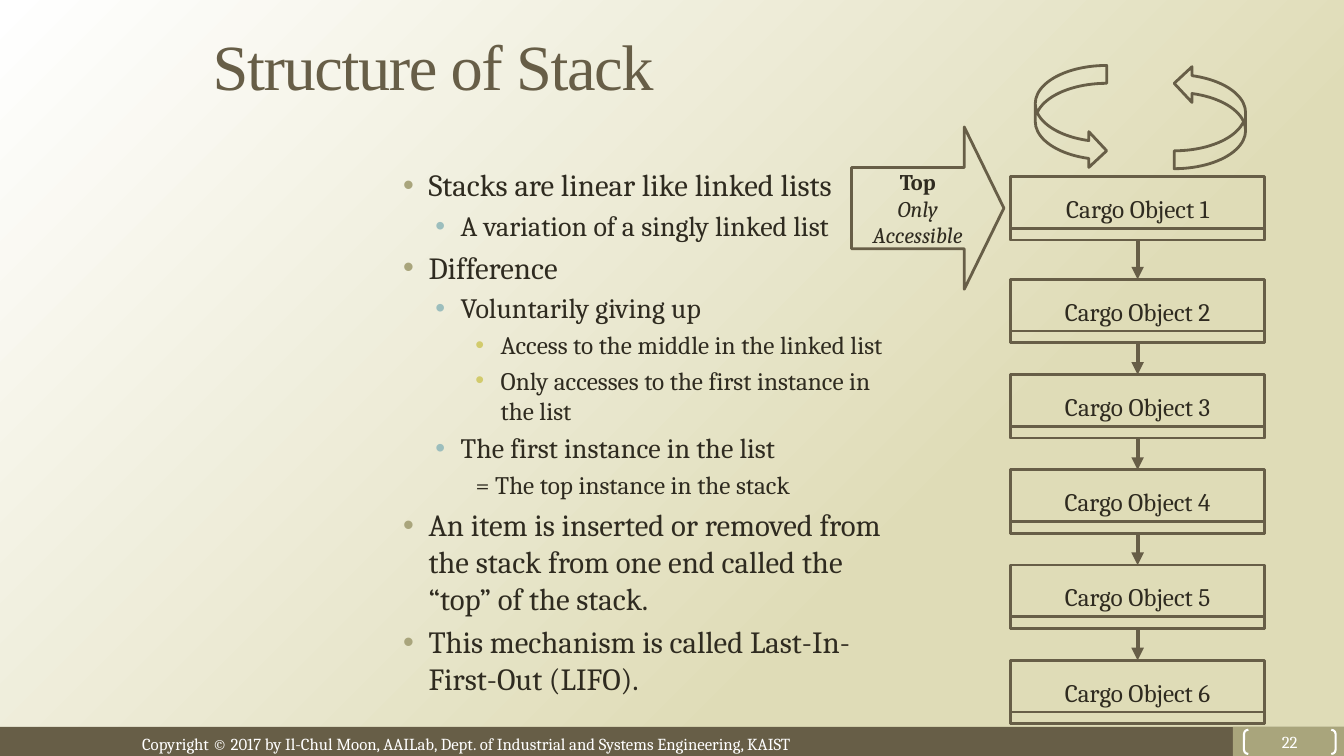
from lxml.etree import SubElement
from pptx import Presentation
from pptx.dml.color import RGBColor
from pptx.enum.shapes import MSO_CONNECTOR, MSO_SHAPE as Preset
from pptx.enum.text import MSO_ANCHOR as Anchor, PP_ALIGN as Align
from pptx.oxml.ns import qn
from pptx.util import Cm, Pt

COLORS = {
    "brown": "675E47", "olive": "A9A57C", "ink": "2F2B20", "white": "FFFFFF",
    "sand": "DFDCB7", "teal": "9CBEBD", "yellow": "D2CB6C",
}
SERIF = "Cambria"
OUTLINE_STYLES = {
    0: (22, 0.97, "olive"),
    1: (20, 1.78, "teal"),
    2: (18, 2.79, "yellow"),
}
OUTLINE = [
    (0, "Stacks are linear like linked lists"),
    (1, "A variation of a singly linked list"),
    (0, "Difference"),
    (1, "Voluntarily giving up"),
    (2, "Access to the middle in the linked list"),
    (2, "Only accesses to the first instance in the list"),
    (1, "The first instance in the list"),
    (2, "= The top instance in the stack"),
    (0, "An item is inserted or removed from the stack from one end called the “top” of the stack."),
    (0, "This mechanism is called Last-In-First-Out (LIFO)."),
]


def color(name):
    """Return the named palette colour."""
    return RGBColor.from_string(COLORS[name])


def add_run(paragraph, text, size, tint="ink", face=SERIF, bold=False, italic=False):
    """Append one formatted run to a paragraph."""
    run = paragraph.add_run()
    run.text = text
    font = run.font
    font.name, font.size, font.bold, font.italic = face, Pt(size), bold, italic
    font.color.rgb = color(tint)
    return run


def add_preset(slide, preset, box, fill=None, line=None, width=2):
    """Draw a flat preset shape in a box given in centimetres."""
    shape = slide.shapes.add_shape(preset, *map(Cm, box))
    shape.shadow.inherit = False
    if fill:
        shape.fill.solid()
        shape.fill.fore_color.rgb = color(fill)
    else:
        shape.fill.background()
    if line:
        shape.line.color.rgb = color(line)
        shape.line.width = Pt(width)
    else:
        shape.line.fill.background()
    return shape


def centred(shape):
    """Centre the text of a shape and return its first paragraph."""
    frame = shape.text_frame
    frame.word_wrap = True
    frame.vertical_anchor = Anchor.MIDDLE
    frame.paragraphs[0].alignment = Align.CENTER
    return frame.paragraphs[0]


def add_text_frame(slide, box, anchor=Anchor.TOP):
    """Add a wrapping text box and return its frame."""
    frame = slide.shapes.add_textbox(*map(Cm, box)).text_frame
    frame.word_wrap = True
    frame.vertical_anchor = anchor
    return frame


def add_down_arrow(slide, x, top, bottom):
    """Connect two levels with a vertical arrow."""
    arrow = slide.shapes.add_connector(
        MSO_CONNECTOR.STRAIGHT, Cm(x), Cm(top), Cm(x), Cm(bottom))
    arrow.line.color.rgb = color("brown")
    arrow.line.width = Pt(3)
    SubElement(arrow.line._get_or_add_ln(), qn("a:tailEnd"), type="triangle")
    SubElement(arrow._element.spPr, qn("a:effectLst"))


def paint_background(slide):
    """Fill the background with a diagonal white to sand gradient."""
    fill = slide.background.fill
    fill.gradient()
    fill.gradient_angle = 135
    for stop, position, name in zip(fill.gradient_stops, (0.31, 1), ("sand", "white")):
        stop.position = position
        stop.color.rgb = color(name)


def add_footer(slide, left, top, width, height):
    """Draw the footer bar with copyright line and page number."""
    tag_left = left + width - 2.8
    add_preset(slide, Preset.RECTANGLE, (left, top, width, height), fill="brown")
    add_preset(slide, Preset.RECTANGLE, (tag_left, top, 2.8, height), fill="olive")
    notice = add_text_frame(slide, (left + 3.33, top + 0.04, 17.81, 0.76))
    add_run(notice.paragraphs[0],
            "Copyright © 2017 by Il-Chul Moon, AAILab, Dept. of Industrial and Systems Engineering, KAIST",
            12, "white")
    page = add_preset(slide, Preset.DOUBLE_BRACKET, (tag_left + 0.28, top + 0.07, 2.31, 0.61),
                      line="white", width=1.5)
    page.adjustments[0] = 0.18
    frame = page.text_frame
    frame.margin_left = frame.margin_right = frame.margin_top = frame.margin_bottom = 0
    add_run(centred(page), "22", 12, "white")


def add_title(slide, box):
    """Write the slide title."""
    frame = add_text_frame(slide, box, Anchor.MIDDLE)
    run = add_run(frame.paragraphs[0], "Structure of Stack", 46, "brown", "Times New Roman")
    run.font._element.set("spc", "-100")


def add_outline(slide, box):
    """Write the three-level bulleted outline."""
    frame = add_text_frame(slide, box)
    for index, (level, text) in enumerate(OUTLINE):
        size, margin, bullet = OUTLINE_STYLES[level]
        paragraph = frame.paragraphs[0] if index == 0 else frame.add_paragraph()
        paragraph.level = level
        properties = paragraph._p.get_or_add_pPr()
        if text.startswith("="):
            properties.set("marL", str(Cm(2.16)))
            properties.set("indent", "0")
            SubElement(properties, qn("a:buNone"))
        else:
            properties.set("marL", str(Cm(margin)))
            properties.set("indent", str(Cm(-0.64)))
            tint = SubElement(properties, qn("a:buClr"))
            SubElement(tint, qn("a:srgbClr"), val=COLORS[bullet])
            SubElement(properties, qn("a:buFont"), typeface="Arial")
            SubElement(properties, qn("a:buChar"), char="•")
        if index:
            paragraph.space_before = Pt(size * 0.2)
        add_run(paragraph, text, size)


def add_cargo_stack(slide, left, top, width):
    """Draw six cargo objects chained by arrows, the top one set apart."""
    height, lip, pitch, first_gap = 1.6, 0.3, 2.4, 0.99
    second = top + height + first_gap
    tops = [top] + [second + pitch * step for step in range(5)]
    for number, cargo_top in enumerate(tops, 1):
        cargo = add_preset(slide, Preset.RECTANGLE, (left, cargo_top, width, height), line="brown")
        add_run(centred(cargo), f"Cargo Object {number}", 18)
        add_preset(slide, Preset.RECTANGLE,
                   (left, cargo_top + height - lip, width, lip), line="brown")
    for upper, lower in zip(tops, tops[1:]):
        add_down_arrow(slide, left + width / 2, upper + height, lower)


def add_cycle(slide, left, top, width):
    """Draw the two curved arrows that face each other."""
    arrow_width, arrow_height = 1.8, 2.6
    for x, rotation in ((left, 0), (left + width - arrow_width, 180)):
        curve = add_preset(slide, Preset.CURVED_RIGHT_ARROW,
                           (x, top, arrow_width, arrow_height), line="brown")
        curve.rotation = rotation


def add_top_pointer(slide, box):
    """Draw the block arrow that marks the only accessible object."""
    pointer = add_preset(slide, Preset.RIGHT_ARROW, box, line="brown")
    pointer.adjustments[0], pointer.adjustments[1] = 0.5, 0.26
    label = centred(pointer)
    add_run(label, "Top", 16, bold=True)
    label.add_line_break()
    add_run(label, "Only Accessible", 16, italic=True)


def main():
    """Build the slide and save it."""
    deck = Presentation()
    deck.slide_width, deck.slide_height = Cm(33.87), Cm(19.05)
    slide = deck.slides.add_slide(deck.slide_layouts[6])
    paint_background(slide)
    add_footer(slide, 0, 18.32, 33.87, 0.73)
    add_title(slide, (5.11, 0.3, 28.75, 2.69))
    add_outline(slide, (9.58, 4.06, 13.44, 13.69))
    add_cargo_stack(slide, 25.47, 4.45, 6.4)
    add_cycle(slide, 26.09, 1.65, 5.3)
    add_top_pointer(slide, (21.46, 3.2, 3.84, 4.09))
    deck.save("out.pptx")


if __name__ == "__main__":
    main()
